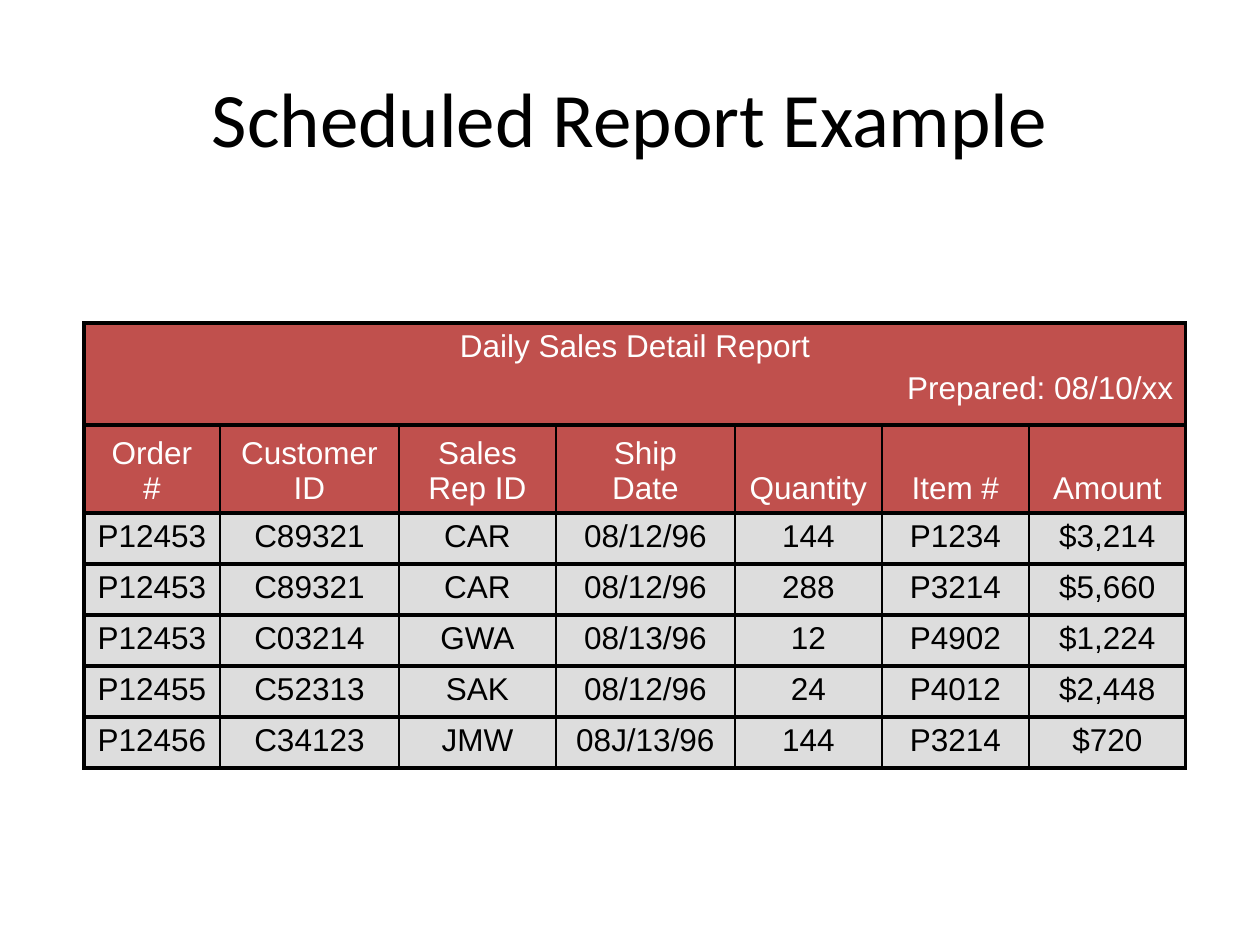
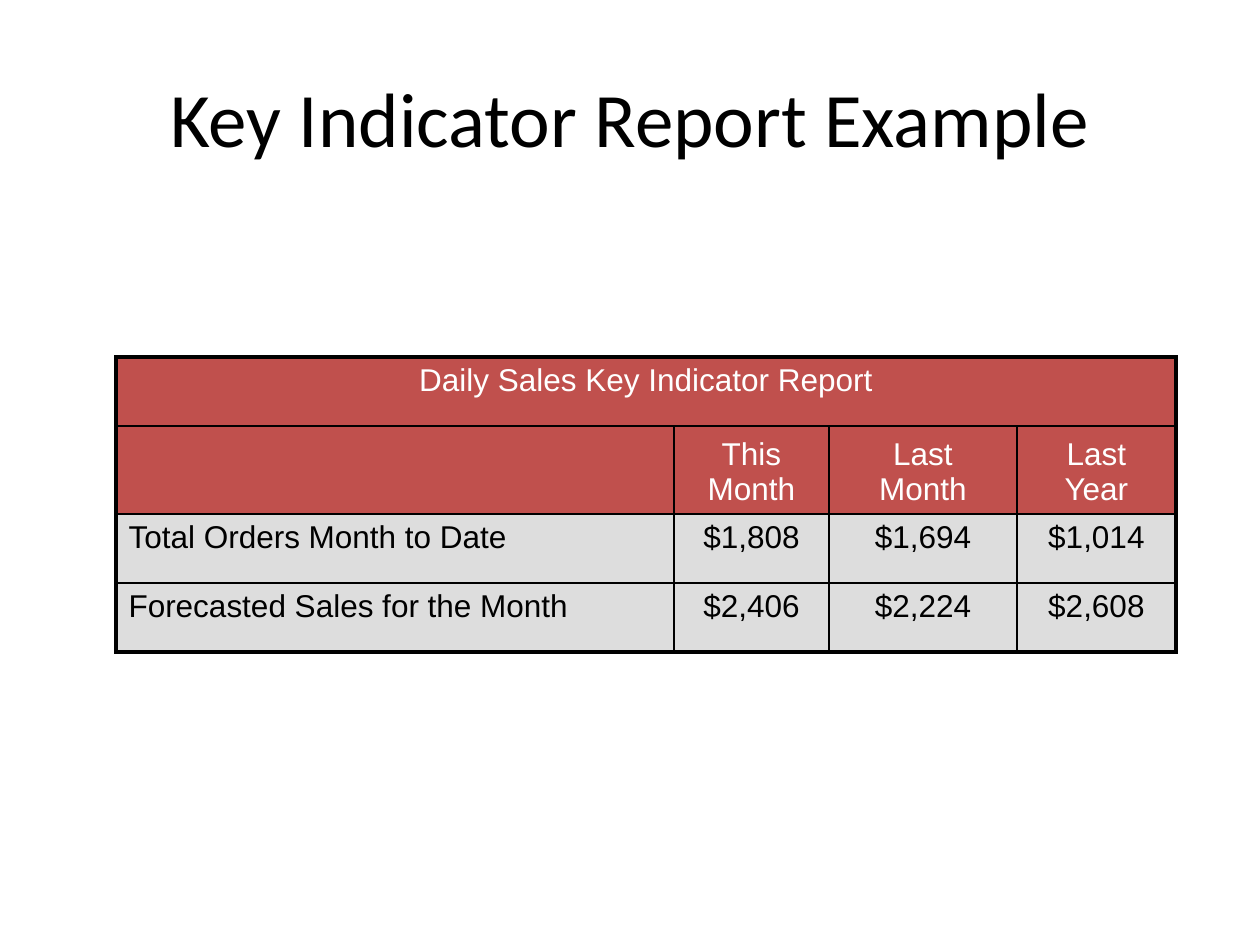
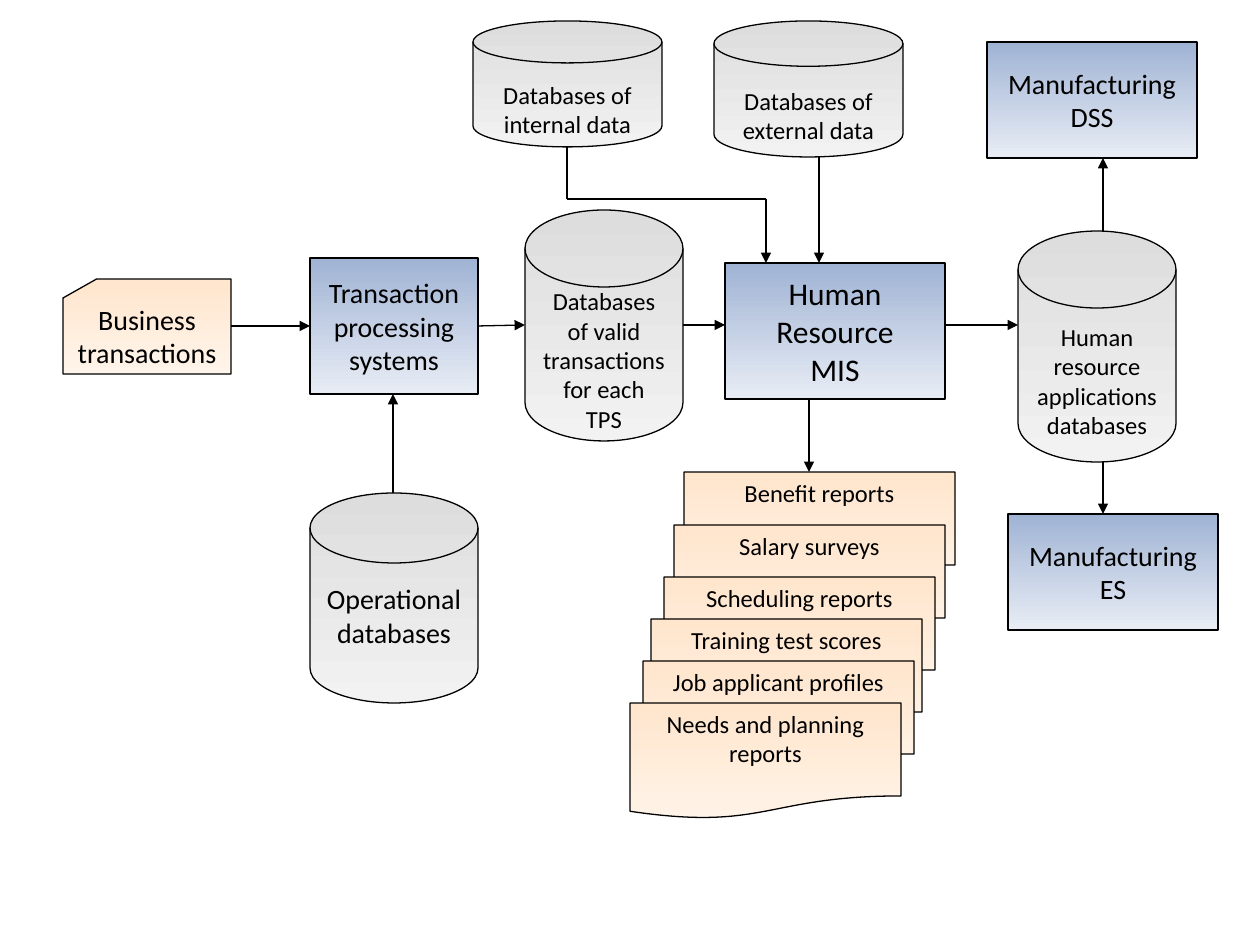
from copy import deepcopy
from dataclasses import dataclass

from lxml import etree
from pptx import Presentation
from pptx.dml.color import RGBColor
from pptx.enum.shapes import MSO_CONNECTOR, MSO_SHAPE
from pptx.enum.text import MSO_ANCHOR, PP_ALIGN
from pptx.oxml.ns import qn
from pptx.slide import Slide
from pptx.table import _Cell
from pptx.text.text import TextFrame
from pptx.util import Emu, Pt

CAN = MSO_SHAPE.FLOWCHART_MAGNETIC_DISK
CARD = MSO_SHAPE.FLOWCHART_CARD
DOCUMENT = MSO_SHAPE.FLOWCHART_DOCUMENT
RECTANGLE = MSO_SHAPE.RECTANGLE
STRAIGHT = MSO_CONNECTOR.STRAIGHT
LEFT, CENTER, RIGHT = PP_ALIGN.LEFT, PP_ALIGN.CENTER, PP_ALIGN.RIGHT
TOP, MIDDLE, BOTTOM = MSO_ANCHOR.TOP, MSO_ANCHOR.MIDDLE, MSO_ANCHOR.BOTTOM

EMU_PER_PIXEL = 914400 / 126
TITLE_ONLY, BLANK = 5, 6
BLACK, WHITE = "000000", "FFFFFF"
HEADER_FILL, BODY_FILL = "C0504D", "DDDDDD"
GRADIENTS = {
    CAN: ("DDDDDD", "F2F2F2"),
    CARD: ("FFE6CD", "FFF4EA"),
    DOCUMENT: ("FFE6CD", "FFF3E7"),
    RECTANGLE: ("A0B3D4", "E8EDF5"),
}
TABLE_FONT, DIAGRAM_FONT = "Arial", "Calibri"
THICK, THIN = 2.25, 1
INSET, CAN_DROP = 6, 30
REPORT_WIDTH, REPORT_HEIGHT = 271, 116


@dataclass(frozen=True)
class Report:
    title: str
    left: int
    top: int
    widths: list[int]
    heights: list[int]
    banner: list[str]
    rows: list[list[str]]
    row_rule: float
    first_align: PP_ALIGN = CENTER


@dataclass(frozen=True)
class Node:
    kind: MSO_SHAPE
    left: int
    top: int
    width: int
    height: int
    text: str
    size: int
    anchor: MSO_ANCHOR = MIDDLE
    drop: int = 0


@dataclass(frozen=True)
class Link:
    x1: int
    y1: int
    x2: int
    y2: int
    arrow: bool = True


def px(pixels: float) -> Emu:
    return Emu(round(pixels * EMU_PER_PIXEL))


def color(value: str) -> RGBColor:
    return RGBColor.from_string(value)


def apply(target: object, values: dict) -> None:
    for name, value in values.items():
        setattr(target, name, value)


def write(frame: TextFrame, text: str, font: str, size: int, ink: str,
          aligns: list[PP_ALIGN], before: float = 0) -> None:
    frame.text = text
    for para, align in zip(frame.paragraphs, aligns):
        apply(para, {"alignment": align, "space_before": Pt(before)})
        for span in para.runs:
            apply(span.font, {"name": font, "size": Pt(size)})
            span.font.color.rgb = color(ink)
        for line_break in para._p.findall(qn("a:br")):
            line_break.append(deepcopy(para.runs[0].font._element))


def add_title(page: Slide, text: str) -> None:
    title = page.shapes.title
    apply(title, {"left": px(63), "top": px(38), "width": px(1134), "height": px(157)})
    title.text_frame.vertical_anchor = MIDDLE
    write(title.text_frame, text, DIAGRAM_FONT, 44, BLACK, [CENTER])


def add_borders(cell: _Cell, widths: dict[str, float]) -> None:
    properties = cell._tc.get_or_add_tcPr()
    for side, width in widths.items():
        line = etree.SubElement(properties, qn(f"a:ln{side}"), w=str(Pt(width)))
        fill = etree.SubElement(line, qn("a:solidFill"))
        etree.SubElement(fill, qn("a:srgbClr"), val=BLACK)


def add_report(page: Slide, report: Report) -> None:
    add_title(page, report.title)
    last_row, last_column = len(report.heights) - 1, len(report.widths) - 1
    table = page.shapes.add_table(
        last_row + 1, last_column + 1, px(report.left), px(report.top),
        px(sum(report.widths)), px(sum(report.heights))).table
    apply(table, {"first_row": False, "horz_banding": False})
    for column, width in zip(table.columns, report.widths):
        column.width = px(width)
    for row, height in zip(table.rows, report.heights):
        row.height = px(height)
    table.cell(0, 0).merge(table.cell(0, last_column))
    banner_row = ["\n".join(report.banner)] + [""] * last_column
    for r, texts in enumerate([banner_row, *report.rows]):
        for c, text in enumerate(texts):
            cell = table.cell(r, c)
            add_borders(cell, {
                "L": THICK if c == 0 else THIN,
                "R": THICK if r == 0 or c == last_column else THIN,
                "T": THICK if r == 0 else report.row_rule,
                "B": THICK if r == last_row else report.row_rule,
            })
            cell.fill.solid()
            cell.fill.fore_color.rgb = color(HEADER_FILL if r < 2 else BODY_FILL)
            cell.vertical_anchor = BOTTOM if r == 1 else TOP
            if text:
                align = report.first_align if r > 1 and c == 0 else CENTER
                write(cell.text_frame, text, TABLE_FONT, 18,
                      WHITE if r < 2 else BLACK, [align, RIGHT], 3.6)


def add_node(page: Slide, node: Node) -> None:
    box = page.shapes.add_shape(
        node.kind, px(node.left), px(node.top), px(node.width), px(node.height))
    box.shadow.inherit = False
    box.fill.gradient()
    box.fill.gradient_angle = 270
    for stop, value in zip(box.fill.gradient_stops, GRADIENTS[node.kind]):
        stop.color.rgb = color(value)
    box.line.color.rgb = color(BLACK)
    box.line.width = Pt(0.75)
    apply(box.text_frame, {"word_wrap": False, "vertical_anchor": node.anchor,
                           "margin_top": px(INSET + node.drop)})
    write(box.text_frame, node.text, DIAGRAM_FONT, node.size, BLACK, [CENTER, CENTER])


def add_link(page: Slide, link: Link) -> None:
    connector = page.shapes.add_connector(
        STRAIGHT, px(link.x1), px(link.y1), px(link.x2), px(link.y2))
    connector.line.color.rgb = color(BLACK)
    connector.line.width = Pt(0.75)
    if link.arrow:
        etree.SubElement(connector.line._get_or_add_ln(), qn("a:tailEnd"), type="triangle")
    etree.SubElement(connector._element.spPr, qn("a:effectLst"))


REPORTS = [
    Report(
        "Scheduled Report Example", 84, 323,
        [136, 179, 157, 179, 147, 147, 157], [102, 88] + [51] * 5,
        ["Daily Sales Detail Report", "Prepared: 08/10/xx"],
        [
            ["Order\v#", "Customer\vID", "Sales Rep ID", "Ship\vDate",
             "Quantity", "Item #", "Amount"],
            ["P12453", "C89321", "CAR", "08/12/96", "144", "P1234", "$3,214"],
            ["P12453", "C89321", "CAR", "08/12/96", "288", "P3214", "$5,660"],
            ["P12453", "C03214", "GWA", "08/13/96", "12", "P4902", "$1,224"],
            ["P12455", "C52313", "SAK", "08/12/96", "24", "P4012", "$2,448"],
            ["P12456", "C34123", "JMW", "08J/13/96", "144", "P3214", "$720"],
        ], THICK),
    Report(
        "Key Indicator Report Example", 116, 357,
        [558, 155, 188, 159], [69, 88, 69, 69],
        ["Daily Sales Key Indicator Report"],
        [
            ["", "This\vMonth", "Last\vMonth", "Last\vYear"],
            ["Total Orders Month to Date", "$1,808", "$1,694", "$1,014"],
            ["Forecasted Sales for the Month", "$2,406", "$2,224", "$2,608"],
        ], THIN, LEFT),
]

NODES = [
    Node(CAN, 310, 493, 168, 210, "Operational\ndatabases", 16),
    Node(CAN, 525, 210, 158, 231,
         "Databases\vof valid\vtransactions\vfor each\vTPS", 14, drop=CAN_DROP),
    Node(RECTANGLE, 310, 258, 168, 136, "Transaction\vprocessing\vsystems", 16),
    Node(CARD, 63, 279, 168, 95, "Business\vtransactions", 16),
    Node(RECTANGLE, 725, 263, 220, 136, "Human\vResource\vMIS", 18),
    Node(CAN, 714, 21, 189, 136, "Databases of\vexternal data", 14, drop=CAN_DROP),
    Node(CAN, 473, 21, 189, 126, "Databases of\vinternal data", 14, drop=CAN_DROP),
    Node(RECTANGLE, 987, 42, 210, 116, "Manufacturing\vDSS", 16),
    Node(RECTANGLE, 1008, 514, 210, 116, "Manufacturing\vES", 16),
    Node(CAN, 1018, 231, 158, 231,
         "Human\vresource\vapplications\vdatabases", 14, drop=CAN_DROP),
]

REPORT_STACK = [
    (684, 472, "Benefit reports"),
    (674, 525, "Salary surveys"),
    (664, 577, "Scheduling reports"),
    (651, 619, "Training test scores"),
    (643, 661, "Job applicant profiles"),
    (630, 703, "Needs and planning\vreports"),
]

LINKS = [
    Link(231, 326, 310, 326),
    Link(478, 326, 525, 325),
    Link(683, 325, 725, 325),
    Link(945, 325, 1018, 325),
    Link(393, 493, 393, 394),
    Link(819, 157, 819, 263),
    Link(567, 147, 567, 199, False),
    Link(567, 199, 766, 199, False),
    Link(766, 199, 766, 263),
    Link(1103, 462, 1103, 514),
    Link(1103, 231, 1103, 158),
    Link(809, 399, 809, 472),
]

deck = Presentation()
apply(deck, {"slide_width": px(1260), "slide_height": px(945)})

for report in REPORTS:
    add_report(deck.slides.add_slide(deck.slide_layouts[TITLE_ONLY]), report)

diagram = deck.slides.add_slide(deck.slide_layouts[BLANK])
for node in NODES:
    add_node(diagram, node)
for left, top, text in REPORT_STACK:
    add_node(diagram, Node(DOCUMENT, left, top, REPORT_WIDTH, REPORT_HEIGHT, text, 14, TOP))
for link in LINKS:
    add_link(diagram, link)

deck.save("out.pptx")
